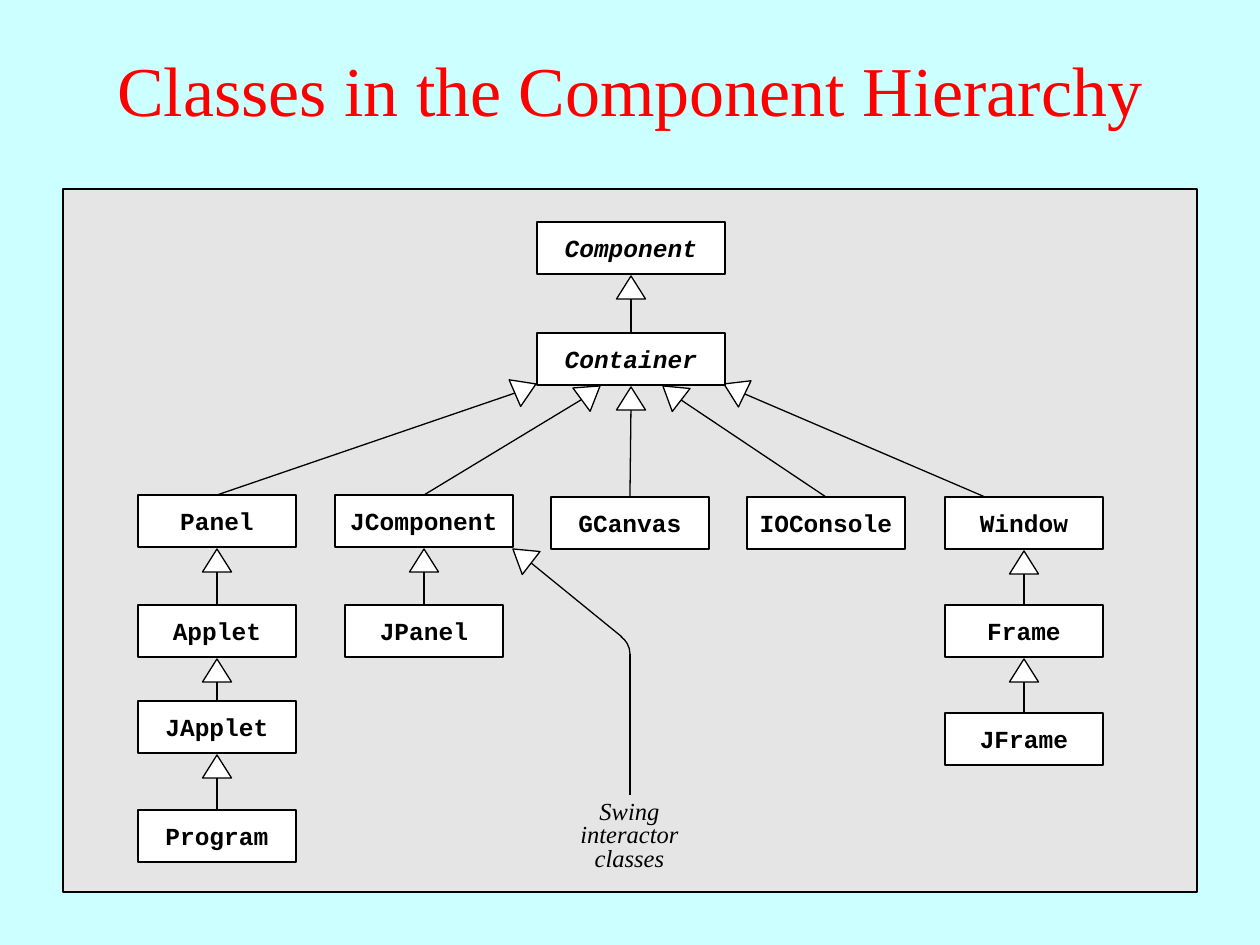
import math
import pptx
import pptx.util
import pptx.dml.color
import pptx.enum.shapes
import pptx.enum.text
import pptx.oxml.ns
from lxml import etree

PX = 914400 // 126
KIND = pptx.enum.shapes.MSO_SHAPE
ALIGN = pptx.enum.text.PP_ALIGN
ANCHOR = pptx.enum.text.MSO_ANCHOR
SIZE = pptx.enum.text.MSO_AUTO_SIZE
MONO, SERIF = "Courier New", "Times New Roman"
BLACK, WHITE = "000000", "FFFFFF"
BOX_H, HEAD_W, HEAD_H, GAP = 52, 29, 23, 2

# name: left, top, width, italic
BOXES = {
    "Component": (537, 222, 188, True),
    "Container": (537, 333, 188, True),
    "Panel": (138, 495, 158, False),
    "JComponent": (335, 495, 178, False),
    "GCanvas": (551, 497, 158, False),
    "IOConsole": (747, 497, 158, False),
    "Window": (945, 497, 158, False),
    "Applet": (138, 605, 158, False),
    "JApplet": (138, 701, 158, False),
    "Program": (138, 810, 158, False),
    "JPanel": (345, 605, 158, False),
    "Frame": (945, 605, 158, False),
    "JFrame": (945, 713, 158, False),
}

# child, parent
STEPS = [
    ("Container", "Component"), ("GCanvas", "Container"),
    ("Applet", "Panel"), ("JApplet", "Applet"), ("Program", "JApplet"),
    ("JPanel", "JComponent"), ("Frame", "Window"), ("JFrame", "Frame"),
]

# tail, tip, turn of the head in degrees
SLANTS = [
    ((217, 495), (536, 384), 66.7),
    ((424, 495), (600, 386), 53.6),
    ((826, 497), (663, 386), -52.3),
    ((1013, 509), (724, 384), -64.4),
    ((622, 637), (513, 549), -52.3),
]


def px(*nums):
    return [pptx.util.Emu(round(n * PX)) for n in nums]


def color(code):
    return pptx.dml.color.RGBColor.from_string(code)


def put(frame, text, font=MONO, size=14, fill=BLACK, bold=False, italic=False,
        space=None, wrap=True, anchor=ANCHOR.MIDDLE):
    frame.auto_size = SIZE.NONE
    frame.word_wrap = wrap
    frame.vertical_anchor = anchor
    frame.text = text
    for par in frame.paragraphs:
        par.alignment = ALIGN.CENTER
        par.line_spacing = space
        for run in par.runs:
            run.font.name = font
            run.font.size = pptx.util.Pt(size)
            run.font.bold, run.font.italic = bold, italic
            run.font.color.rgb = color(fill)


def ink(item):
    item.line.color.rgb = color(BLACK)
    item.line.width = pptx.util.Pt(0.75)


def shape(slide, kind, left, top, width, height, fill=WHITE):
    item = slide.shapes.add_shape(kind, *px(left, top, width, height))
    item.shadow.inherit = False
    if fill:
        item.fill.solid()
        item.fill.fore_color.rgb = color(fill)
    else:
        item.fill.background()
    ink(item)
    return item


def line(slide, start, end):
    item = slide.shapes.add_connector(
        pptx.enum.shapes.MSO_CONNECTOR.STRAIGHT, *px(*start, *end))
    ink(item)
    etree.SubElement(item._element.spPr, pptx.oxml.ns.qn("a:effectLst"))


def arrow(slide, tail, tip, turn=0):
    """Draw a line that ends in a hollow triangle with its apex at tip."""
    dx, dy = math.sin(math.radians(turn)), -math.cos(math.radians(turn))
    line(slide, tail, (tip[0] - HEAD_H * dx, tip[1] - HEAD_H * dy))
    mid_x, mid_y = tip[0] - HEAD_H / 2 * dx, tip[1] - HEAD_H / 2 * dy
    head = shape(slide, KIND.ISOSCELES_TRIANGLE, mid_x - HEAD_W / 2,
                 mid_y - HEAD_H / 2, HEAD_W, HEAD_H)
    head.rotation = turn


def step(slide, child, parent):
    """Draw the upright arrow from a class to the one above it."""
    left, top, width, _ = BOXES[child]
    over, high, wide, _ = BOXES[parent]
    arrow(slide, (left + width / 2, top),
          (over + wide / 2, high + BOX_H + GAP))


def box(slide, name):
    left, top, width, italic = BOXES[name]
    item = shape(slide, KIND.RECTANGLE, left, top, width, BOX_H)
    put(item.text_frame, name, bold=True, italic=italic, wrap=False)


def note(slide):
    """Label the Swing classes and join them to the bent arrow."""
    label = slide.shapes.add_textbox(*px(530, 795, 199, 83))
    put(label.text_frame, "Swing\ninteractor\nclasses", font=SERIF,
        italic=True, space=0.8, anchor=ANCHOR.TOP)
    bend = shape(slide, KIND.ARC, 588, 633, 42, 42, fill=None)
    bend.adjustments[0] = 183  # 305 degrees
    bend.adjustments[1] = 0
    line(slide, (630, 654), (630, 795))


def title(slide, text):
    item = slide.shapes.title
    item.left, item.top, item.width, item.height = px(0, 10, 1260, 157)
    put(item.text_frame, text, font=SERIF, size=40, fill="FF0000")


def main():
    deck = pptx.Presentation()
    deck.slide_width, deck.slide_height = px(1260, 945)
    slide = deck.slides.add_slide(deck.slide_layouts[5])
    slide.background.fill.solid()
    slide.background.fill.fore_color.rgb = color("CCFFFF")
    title(slide, "Classes in the Component Hierarchy")
    shape(slide, KIND.RECTANGLE, 63, 189, 1134, 703, fill="E5E5E5")
    for tail, tip, turn in SLANTS:
        arrow(slide, tail, tip, turn)
    for child, parent in STEPS:
        step(slide, child, parent)
    for name in BOXES:
        box(slide, name)
    note(slide)
    deck.save("out.pptx")


if __name__ == "__main__":
    main()
